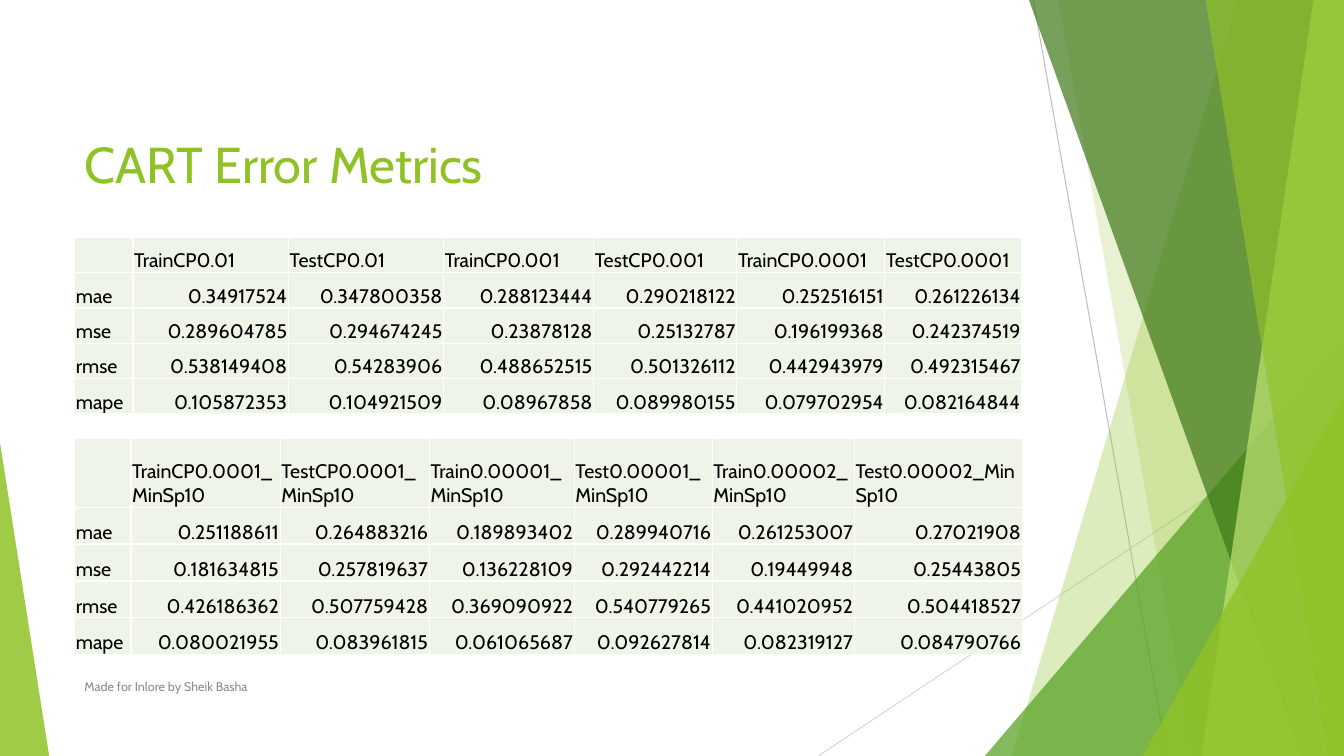
from lxml import etree
from pptx import Presentation
from pptx import util as u
from pptx.dml.color import RGBColor
from pptx.enum import shapes, text
from pptx.oxml import ns

WIDTH, HEIGHT = 33.87, 19.05
LEFT, CONTENT_WIDTH = 1.88, 23.88

CP_HEADINGS = ["", "TrainCP0.01", "TestCP0.01", "TrainCP0.001", "TestCP0.001",
               "TrainCP0.0001", "TestCP0.0001"]
CP_METRICS = [
    ["mae", "0.34917524", "0.347800358", "0.288123444", "0.290218122", "0.252516151", "0.261226134"],
    ["mse", "0.289604785", "0.294674245", "0.23878128", "0.25132787", "0.196199368", "0.242374519"],
    ["rmse", "0.538149408", "0.54283906", "0.488652515", "0.501326112", "0.442943979", "0.492315467"],
    ["mape", "0.105872353", "0.104921509", "0.08967858", "0.089980155", "0.079702954", "0.082164844"],
]
SPLIT_HEADINGS = ["", "TrainCP0.0001_MinSp10", "TestCP0.0001_MinSp10", "Train0.00001_MinSp10",
                  "Test0.00001_MinSp10", "Train0.00002_MinSp10", "Test0.00002_MinSp10"]
SPLIT_METRICS = [
    ["mae", "0.251188611", "0.264883216", "0.189893402", "0.289940716", "0.261253007", "0.27021908"],
    ["mse", "0.181634815", "0.257819637", "0.136228109", "0.292442214", "0.19449948", "0.25443805"],
    ["rmse", "0.426186362", "0.507759428", "0.369090922", "0.540779265", "0.441020952", "0.504418527"],
    ["mape", "0.080021955", "0.083961815", "0.061065687", "0.092627814", "0.082319127", "0.084790766"],
]


def colour(value):
    return RGBColor.from_string(value)


def add_element(parent, tag, **attributes):
    return etree.SubElement(parent, ns.qn(tag), attributes)


class MetricsSlide:
    font = "Cabin"
    green = "90C226"
    cell_fill = "EEF4E8"
    border = "FFFFFF"

    def __init__(self, page):
        self.page = page

    def format_text(self, frame, size, value, align=text.PP_ALIGN.LEFT):
        for para in frame.paragraphs:
            para.alignment = align
            for span in para.runs:
                span.font.name = self.font
                span.font.size = u.Pt(size)
                span.font.bold = False
                span.font.color.rgb = colour(value)

    def paint(self, shape, value, opacity):
        shape.shadow.inherit = False
        shape.fill.solid()
        shape.fill.fore_color.rgb = colour(value)
        shape.line.fill.background()
        tint = shape.fill._xPr.find(ns.qn("a:solidFill"))[0]
        add_element(tint, "a:alpha", val=str(opacity * 1000))

    def line(self, start, end, value):
        points = [u.Cm(length) for length in (*start, *end)]
        connector = self.page.shapes.add_connector(shapes.MSO_CONNECTOR.STRAIGHT, *points)
        connector.line.color.rgb = colour(value)
        connector.line.width = u.Pt(0.75)
        add_element(connector._element.spPr, "a:effectLst")

    def right_band(self, top_x, bottom_x, value, opacity):
        corners = [(u.Cm(x), u.Cm(y)) for x, y in
                   [(top_x, 0), (WIDTH, 0), (WIDTH, HEIGHT), (bottom_x, HEIGHT)]]
        builder = self.page.shapes.build_freeform(*corners[0])
        builder.add_line_segments(corners[1:], close=True)
        self.paint(builder.convert_to_shape(), value, opacity)

    def triangle(self, left, top, width, apex, value, opacity):
        shape = self.page.shapes.add_shape(
            shapes.MSO_SHAPE.ISOSCELES_TRIANGLE,
            u.Cm(left), u.Cm(top), u.Cm(width), u.Cm(HEIGHT - top))
        shape.adjustments[0] = apex
        self.paint(shape, value, opacity)

    def title(self, wording):
        box = self.page.shapes.title
        box.left, box.top = u.Cm(LEFT), u.Cm(1.7)
        box.width, box.height = u.Cm(CONTENT_WIDTH), u.Cm(3.66)
        frame = box.text_frame
        frame.text = wording
        frame.vertical_anchor = text.MSO_ANCHOR.BOTTOM
        frame.margin_bottom = u.Cm(0.48)
        self.format_text(frame, 36, self.green)

    def footer(self, wording):
        box = self.page.shapes.add_textbox(u.Cm(LEFT), u.Cm(16.79), u.Cm(17.5), u.Cm(1.02))
        frame = box.text_frame
        frame.text = wording
        frame.word_wrap = True
        frame.vertical_anchor = text.MSO_ANCHOR.MIDDLE
        self.format_text(frame, 9, "8C8C8C")

    def cell(self, cell, wording, align):
        cell.text = wording
        cell.vertical_anchor = text.MSO_ANCHOR.BOTTOM
        cell.margin_left = cell.margin_right = cell.margin_top = u.Cm(0.03)
        cell.margin_bottom = 0
        properties = cell._tc.get_or_add_tcPr()
        for side in ("a:lnL", "a:lnR", "a:lnT", "a:lnB"):
            edge = add_element(properties, side, w=str(u.Pt(1)))
            add_element(add_element(edge, "a:solidFill"), "a:srgbClr", val=self.border)
        cell.fill.solid()
        cell.fill.fore_color.rgb = colour(self.cell_fill)
        self.format_text(cell.text_frame, 14, "000000", align)

    def table(self, top, widths, heading_height, row_height, rows):
        heights = [heading_height] + [row_height] * (len(rows) - 1)
        table = self.page.shapes.add_table(
            len(rows), len(widths), u.Cm(LEFT), u.Cm(top),
            u.Cm(sum(widths)), u.Cm(sum(heights))).table
        table.first_row = table.horz_banding = False
        for column, width in zip(table.columns, widths):
            column.width = u.Cm(width)
        for row, height in zip(table.rows, heights):
            row.height = u.Cm(height)
        for r, row in enumerate(rows):
            for c, wording in enumerate(row):
                is_value = r > 0 and c > 0
                align = text.PP_ALIGN.RIGHT if is_value else text.PP_ALIGN.LEFT
                self.cell(table.cell(r, c), wording, align)


def main():
    deck = Presentation()
    deck.slide_width, deck.slide_height = u.Cm(WIDTH), u.Cm(HEIGHT)
    slide = MetricsSlide(deck.slides.add_slide(deck.slide_layouts[5]))

    slide.line((26.04, 0), (29.41, HEIGHT), "BFBFBF")
    slide.line((WIDTH, 10.24), (20.62, HEIGHT), "D9D9D9")
    slide.right_band(31.19, 25.5, slide.green, 30)
    slide.right_band(26.67, 30.05, slide.green, 20)
    slide.triangle(24.82, 8.46, 9.05, 1, "54A021", 72)
    slide.right_band(25.93, 32.79, "3F7819", 70)
    slide.right_band(33.1, 30.28, "C0E474", 70)
    slide.right_band(30.38, 33.48, slide.green, 65)
    slide.triangle(28.8, 9.98, 5.07, 1, slide.green, 80)
    slide.triangle(0, 11.15, 1.24, 0, slide.green, 85)

    slide.title("CART Error Metrics")
    slide.table(5.98, [1.47, 3.92, 3.91, 3.78, 3.61, 3.73, 3.45], 0.89, 0.89,
                [CP_HEADINGS] + CP_METRICS)
    slide.table(11.05, [1.42, 3.76, 3.76, 3.65, 3.48, 3.58, 4.23], 1.73, 0.93,
                [SPLIT_HEADINGS] + SPLIT_METRICS)
    slide.footer("Made for Inlore by Sheik Basha")
    deck.save("out.pptx")


if __name__ == "__main__":
    main()
